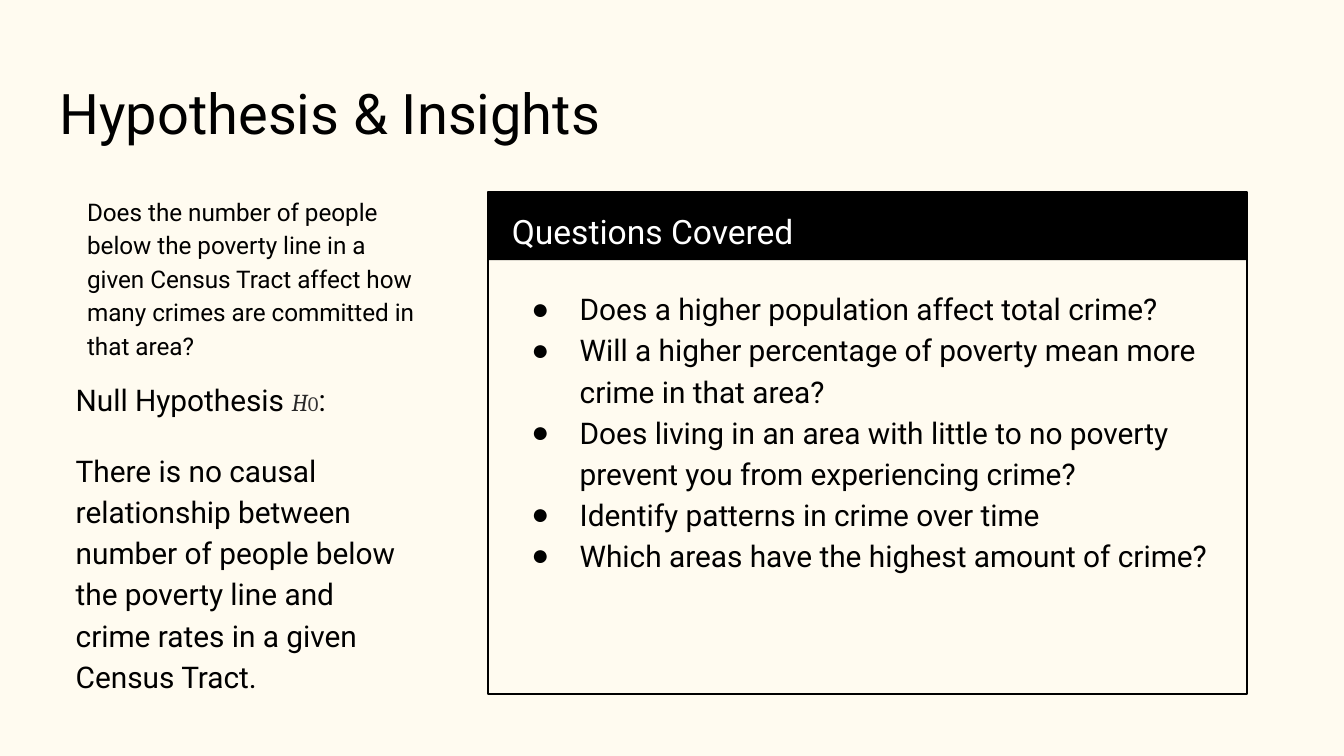
"""Builds the Hypothesis & Insights slide on a square grid, 100 columns wide."""
from dataclasses import dataclass
from typing import Optional

from lxml import etree
from pptx import Presentation
from pptx import util as u
from pptx.dml.color import RGBColor
from pptx.enum import shapes, text
from pptx.oxml.ns import qn

CREAM = RGBColor(0xFF, 0xFB, 0xF0)
BLACK = RGBColor(0, 0, 0)
WHITE = RGBColor(0xFF, 0xFF, 0xFF)
CHARCOAL = RGBColor(0x28, 0x28, 0x28)
GREY = RGBColor(0x33, 0x33, 0x33)
WIDTH = u.Inches(10)
HEIGHT = u.Emu(WIDTH * 9 // 16)
CELL = WIDTH / 100
PADDING = u.Inches(0.1)


@dataclass(frozen=True)
class Area:
    """A rectangle in grid columns and rows."""
    column: float
    row: float
    columns: float
    rows: float

    def lengths(self) -> list[u.Length]:
        """Return left, top, width and height."""
        return [u.Emu(round(n * CELL))
                for n in (self.column, self.row, self.columns, self.rows)]


@dataclass(frozen=True)
class Span:
    """A stretch of text in one format."""
    words: str
    size: float
    color: RGBColor = BLACK
    face: str = "Roboto"
    italic: bool = False


@dataclass(frozen=True)
class TextBlock:
    """A text box holding paragraphs of spans."""
    area: Area
    paragraphs: list[list[Span]]
    line_spacing: float = 1.15
    gap: float = 0
    bulleted: bool = False


@dataclass(frozen=True)
class Panel:
    """A rectangle with a fill or an outline."""
    area: Area
    fill: Optional[RGBColor] = None
    line: Optional[RGBColor] = None


QUESTIONS = [
    "Does a higher population affect total crime?",
    "Will a higher percentage of poverty mean more crime in that area?",
    "Does living in an area with little to no poverty prevent you from "
    "experiencing crime?",
    "Identify patterns in crime over time",
    "Which areas have the highest amount of crime?",
]

PANELS = [
    Panel(Area(36.35, 14.3, 56.5, 5.05), fill=BLACK),
    Panel(Area(36.3, 14.3, 56.5, 37.35), line=BLACK),
]

BLOCKS = [
    TextBlock(Area(3.45, 4.85, 93.2, 6.7),
              [[Span("Hypothesis & Insights", 30)]], line_spacing=1),
    TextBlock(Area(5.5, 13.35, 27.3, 9.8), [[Span(
        "Does the number of people below the poverty line in a given Census "
        "Tract affect how many crimes are committed in that area?", 13)]]),
    TextBlock(Area(4.65, 27, 27.1, 30.6), [
        [Span("Null Hypothesis ", 16),
         Span("H", 13, CHARCOAL, "Cambria", True),
         Span("0", 11, GREY, "Cambria"),
         Span(":", 16)],
        [Span("There is no causal relationship between number of people below "
              "the poverty line and crime rates in a given Census Tract.", 16)],
    ], gap=16),
    TextBlock(Area(37.1, 14.25, 27.3, 5),
              [[Span("Questions Covered", 18, WHITE)]]),
    TextBlock(Area(37.15, 20.25, 54.5, 30.6),
              [[Span(question, 16)] for question in QUESTIONS], bulleted=True),
]


def draw_panel(page, panel: Panel) -> None:
    """Draw one rectangle."""
    box = page.shapes.add_shape(shapes.MSO_SHAPE.RECTANGLE,
                                *panel.area.lengths())
    box.shadow.inherit = False
    for part, color in ((box.fill, panel.fill), (box.line.fill, panel.line)):
        if color is None:
            part.background()
        else:
            part.solid()
            part.fore_color.rgb = color
    if panel.line is not None:
        box.line.width = u.Pt(0.75)


def add_bullet(para) -> None:
    """Give a paragraph a round black bullet with a hanging indent."""
    settings = para._p.get_or_add_pPr()
    settings.set("marL", str(u.Inches(0.5)))
    settings.set("indent", str(u.Inches(-0.36)))
    color = etree.SubElement(settings, qn("a:buClr"))
    etree.SubElement(color, qn("a:srgbClr"), val=str(BLACK))
    etree.SubElement(settings, qn("a:buFont"), typeface="Arial")
    etree.SubElement(settings, qn("a:buChar"), char="●")


def draw_text(page, block: TextBlock) -> None:
    """Draw one text box."""
    frame = page.shapes.add_textbox(*block.area.lengths()).text_frame
    layout = {"word_wrap": True, "vertical_anchor": text.MSO_ANCHOR.TOP,
              "margin_left": PADDING, "margin_top": PADDING,
              "margin_right": PADDING, "margin_bottom": PADDING}
    for name, value in layout.items():
        setattr(frame, name, value)
    for index, spans in enumerate(block.paragraphs):
        para = frame.add_paragraph() if index else frame.paragraphs[0]
        para.alignment = text.PP_ALIGN.LEFT
        para.line_spacing = block.line_spacing
        if index:
            para.space_before = u.Pt(block.gap)
        if block.bulleted:
            add_bullet(para)
        for span in spans:
            run = para.add_run()
            run.text = span.words
            style = {"size": u.Pt(span.size), "name": span.face,
                     "italic": span.italic}
            for name, value in style.items():
                setattr(run.font, name, value)
            run.font.color.rgb = span.color


def main() -> None:
    """Build and save the deck."""
    deck = Presentation()
    deck.slide_width, deck.slide_height = WIDTH, HEIGHT
    page = deck.slides.add_slide(deck.slide_layouts[6])
    page.background.fill.solid()
    page.background.fill.fore_color.rgb = CREAM
    for panel in PANELS:
        draw_panel(page, panel)
    for block in BLOCKS:
        draw_text(page, block)
    deck.save("out.pptx")


if __name__ == "__main__":
    main()
